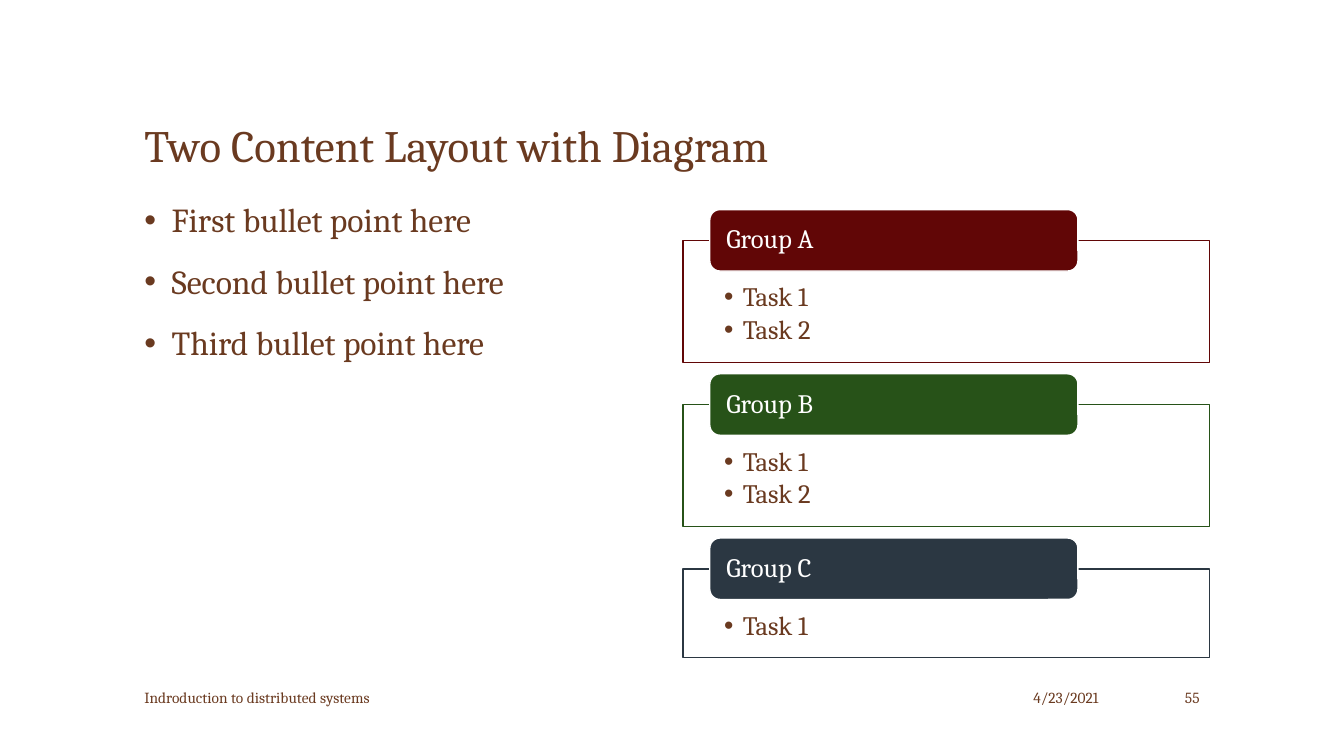
from lxml.etree import SubElement
from pptx import Presentation
from pptx.dml.color import RGBColor
from pptx.enum.shapes import MSO_SHAPE
from pptx.enum.text import MSO_ANCHOR, PP_ALIGN
from pptx.oxml.ns import qn
from pptx.util import Pt

TITLE = "Two Content Layout with Diagram"
BULLETS = ["First bullet point here", "Second bullet point here", "Third bullet point here"]
GROUPS = [
    ("Group A", "610606", ["Task 1", "Task 2"]),
    ("Group B", "275218", ["Task 1", "Task 2"]),
    ("Group C", "2B3742", ["Task 1"]),
]
FOOTERS = [  # text, left, width, alignment
    ("Indroduction to distributed systems", 96, 584, PP_ALIGN.LEFT),
    ("4/23/2021", 695.8, 96, PP_ALIGN.RIGHT),
    ("55", 808, 56, PP_ALIGN.RIGHT),
]
FONT, BROWN, WHITE = "Cambria", "6A3A20", "FFFFFF"

FRAME_LEFT, FRAME_WIDTH = 488, 376
HEADER_LEFT, HEADER_WIDTH, HEADER_HEIGHT = 507, 263, 43.9
FIRST_HEADER_TOP, HEADER_RISE = 149.7, 22.1
FRAME_BASE, TASK_HEIGHT, GROUP_GAP = 39.8, 23.7, 8


def rgb(color):
    """Turn a hex string into a colour."""
    return RGBColor.from_string(color)


def write(shape, lines, size, color=BROWN, align=PP_ALIGN.LEFT, anchor=MSO_ANCHOR.TOP,
          insets=(7.2, 3.6, 7.2, 3.6), bullet_indent=0, spacing=1.0, before=0, after=0):
    """Fill a shape with one paragraph per line, bulleted if indented."""
    frame = shape.text_frame
    frame.word_wrap = True
    frame.vertical_anchor = anchor
    (frame.margin_left, frame.margin_top,
     frame.margin_right, frame.margin_bottom) = map(Pt, insets)
    for index, line in enumerate(lines):
        para = frame.add_paragraph() if index else frame.paragraphs[0]
        para.alignment = align
        para.line_spacing = spacing
        para.space_before, para.space_after = Pt(before), Pt(after)
        if bullet_indent:
            properties = para._p.get_or_add_pPr()
            properties.set("marL", str(Pt(bullet_indent)))
            properties.set("indent", str(-Pt(bullet_indent)))
            SubElement(properties, qn("a:buFont")).set("typeface", "Arial")
            SubElement(properties, qn("a:buChar")).set("char", "•")
        span = para.add_run()
        span.text = line
        span.font.name, span.font.size = FONT, Pt(size)
        span.font.color.rgb = rgb(color)


def add_text(page, bounds, lines, size, **style):
    """Add a text box at left, top, width, height."""
    write(page.shapes.add_textbox(*map(Pt, bounds)), lines, size, **style)


def add_block(page, kind, bounds, fill, line):
    """Add a filled shape with a thin outline and no shadow."""
    block = page.shapes.add_shape(kind, *map(Pt, bounds))
    block.shadow.inherit = False
    block.fill.solid()
    block.fill.fore_color.rgb = rgb(fill)
    block.line.color.rgb = rgb(line)
    block.line.width = Pt(1)
    return block


def add_group(page, top, name, color, tasks):
    """Draw a task frame with its header and return its bottom edge."""
    frame_top = top + HEADER_RISE
    height = FRAME_BASE + TASK_HEIGHT * len(tasks)
    frame = add_block(page, MSO_SHAPE.RECTANGLE,
                      (FRAME_LEFT, frame_top, FRAME_WIDTH, height), WHITE, color)
    write(frame, tasks, 19, insets=(29.2, 31, 29.2, 10.8), bullet_indent=13.5,
          spacing=0.9, after=2.85)
    header = add_block(page, MSO_SHAPE.ROUNDED_RECTANGLE,
                       (HEADER_LEFT, top, HEADER_WIDTH, HEADER_HEIGHT), color, WHITE)
    write(header, [name], 19, color=WHITE, anchor=MSO_ANCHOR.MIDDLE,
          insets=(9.8, 0, 9.8, 0), spacing=0.9)
    return frame_top + height


deck = Presentation()
deck.slide_width, deck.slide_height = Pt(960), Pt(540)
page = deck.slides.add_slide(deck.slide_layouts[6])

add_text(page, (96, 34, 768, 92), [TITLE], 32, anchor=MSO_ANCHOR.BOTTOM)
add_text(page, (96, 142, 376, 336), BULLETS, 24, bullet_indent=19.5, spacing=0.9, before=18)

top = FIRST_HEADER_TOP
for name, color, tasks in GROUPS:
    top = add_group(page, top, name, color, tasks) + GROUP_GAP

for text, left, width, align in FOOTERS:
    add_text(page, (left, 486, width, 24), [text], 11, align=align, anchor=MSO_ANCHOR.MIDDLE)

deck.save("out.pptx")
